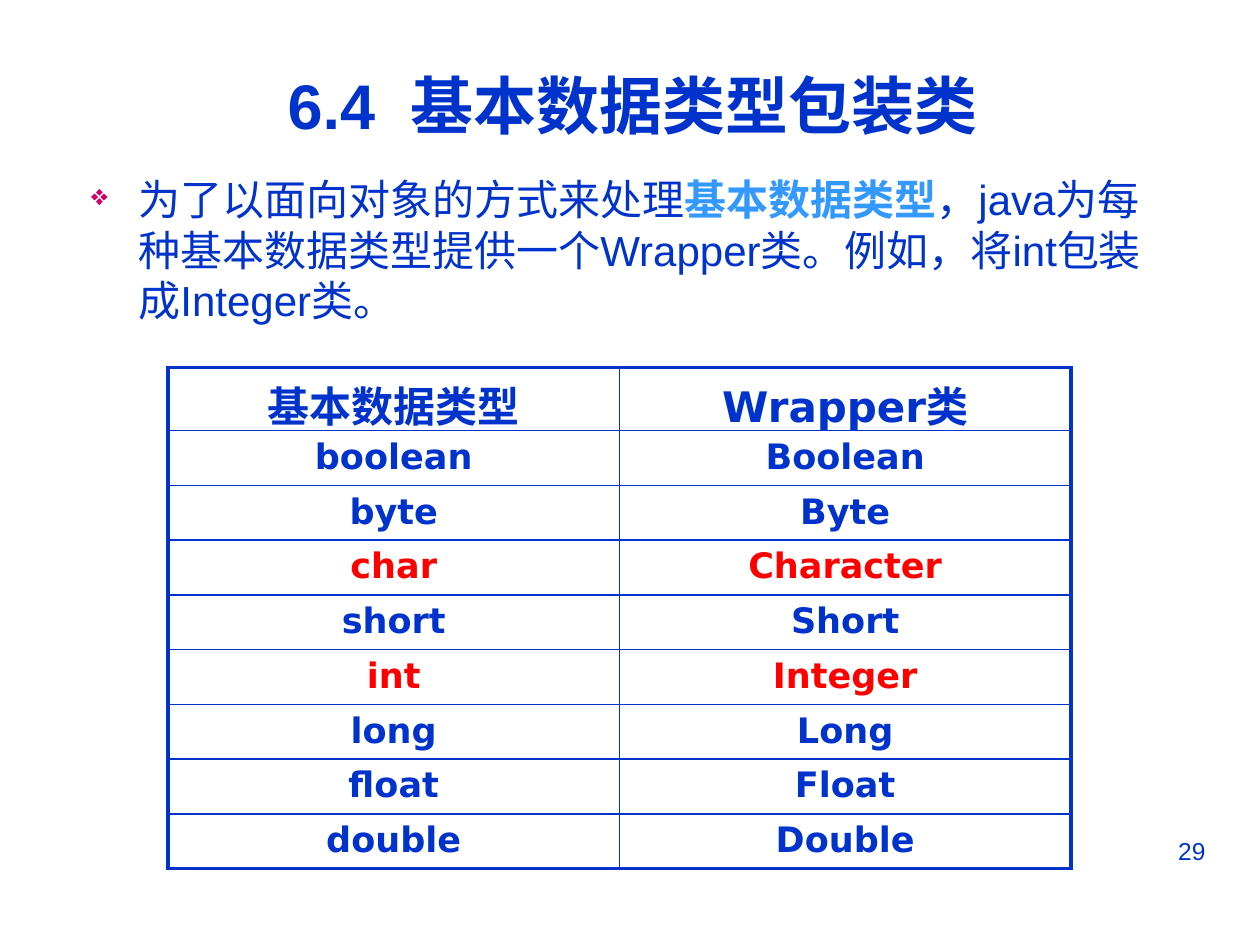
from lxml.etree import SubElement
from pptx import Presentation
from pptx.dml.color import RGBColor
from pptx.enum.text import MSO_ANCHOR, MSO_AUTO_SIZE, PP_ALIGN
from pptx.oxml.ns import qn
from pptx.util import Pt

BLUE = RGBColor(0x00, 0x33, 0xCC)
LIGHT_BLUE = RGBColor(0x33, 0x99, 0xFF)
RED = RGBColor(0xFF, 0x00, 0x00)
MAGENTA = RGBColor(0xCC, 0x00, 0x66)


def add_text(paragraph, text, color=BLUE, **font_format):
    run = paragraph.add_run()
    run.text = text
    run.font.color.rgb = color
    for name, value in font_format.items():
        setattr(run.font, name, value)


def add_borders(cell, widths):
    """Draw the cell's borders; widths maps L, R, T, B to points."""
    properties = cell._tc.get_or_add_tcPr()
    for position, (side, width) in enumerate(widths.items()):
        line = SubElement(properties, qn(f"a:ln{side}"), w=str(Pt(width)))
        fill = SubElement(line, qn("a:solidFill"))
        SubElement(fill, qn("a:srgbClr"), val=str(BLUE))
        properties.insert(position, line)


presentation = Presentation()
presentation.slide_width = Pt(720)
presentation.slide_height = Pt(540)
slide = presentation.slides.add_slide(presentation.slide_layouts[5])

# Title
title = slide.shapes.title
title_place = {"left": Pt(25.2), "top": Pt(14.4), "width": Pt(672.5), "height": Pt(90)}
for name, value in title_place.items():
    setattr(title, name, value)
title.text_frame.auto_size = MSO_AUTO_SIZE.NONE
title.text_frame.vertical_anchor = MSO_ANCHOR.MIDDLE
heading = title.text_frame.paragraphs[0]
heading.alignment = PP_ALIGN.CENTER
add_text(heading, "6.4  基本数据类型包装类", size=Pt(36), name="Arial", bold=True)

# Introduction with a diamond bullet
introduction = slide.shapes.add_textbox(Pt(45), Pt(95.8), Pt(633.6), Pt(150))
introduction.text_frame.word_wrap = True
point = introduction.text_frame.paragraphs[0]
for text, color, bold in [
    ("为了以面向对象的方式来处理", BLUE, False),
    ("基本数据类型", LIGHT_BLUE, True),
    ("，java为每种基本数据类型提供一个Wrapper类。例如，将int包装成Integer类。", BLUE, False),
]:
    add_text(point, text, color, size=Pt(24), name="Arial", bold=bold)
point_properties = point._p.get_or_add_pPr()
point_properties.set("marL", str(Pt(27)))
point_properties.set("indent", str(Pt(-27)))
bullet_color = SubElement(point_properties, qn("a:buClr"))
SubElement(bullet_color, qn("a:srgbClr"), val=str(MAGENTA))
SubElement(point_properties, qn("a:buSzPct"), val="70000")
SubElement(point_properties, qn("a:buChar"), char="❖")

# Table of primitive types and their wrapper classes
type_pairs = [
    ("基本数据类型", "Wrapper类"),
    ("boolean", "Boolean"),
    ("byte", "Byte"),
    ("char", "Character"),
    ("short", "Short"),
    ("int", "Integer"),
    ("long", "Long"),
    ("float", "Float"),
    ("double", "Double"),
]
highlighted = {"char", "int"}
last_row = len(type_pairs) - 1
wrappers = slide.shapes.add_table(
    len(type_pairs), 2, Pt(96), Pt(210), Pt(516), Pt(286.4)).table
wrappers.first_row = False
wrappers.horz_banding = False
for row, pair in enumerate(type_pairs):
    wrappers.rows[row].height = Pt(31.3) if row else Pt(36)
    for column, text in enumerate(pair):
        cell = wrappers.cell(row, column)
        cell.fill.background()
        add_borders(cell, {
            "L": 2.25 if column == 0 else 1,
            "R": 2.25 if column == 1 else 1,
            "T": 2.25 if row == 0 else 1,
            "B": 2.25 if row == last_row else 1,
        })
        entry = cell.text_frame.paragraphs[0]
        entry.alignment = PP_ALIGN.CENTER
        add_text(entry, text, RED if pair[0] in highlighted else BLUE,
                 size=Pt(20) if row else Pt(24), name="DejaVu Sans", bold=True)

# Page number
page_number = slide.shapes.add_textbox(Pt(516), Pt(474), Pt(180), Pt(37.4))
page_number.text_frame.word_wrap = True
number = page_number.text_frame.paragraphs[0]
number.alignment = PP_ALIGN.RIGHT
add_text(number, "29", size=Pt(14), name="Arial")

presentation.save("out.pptx")
